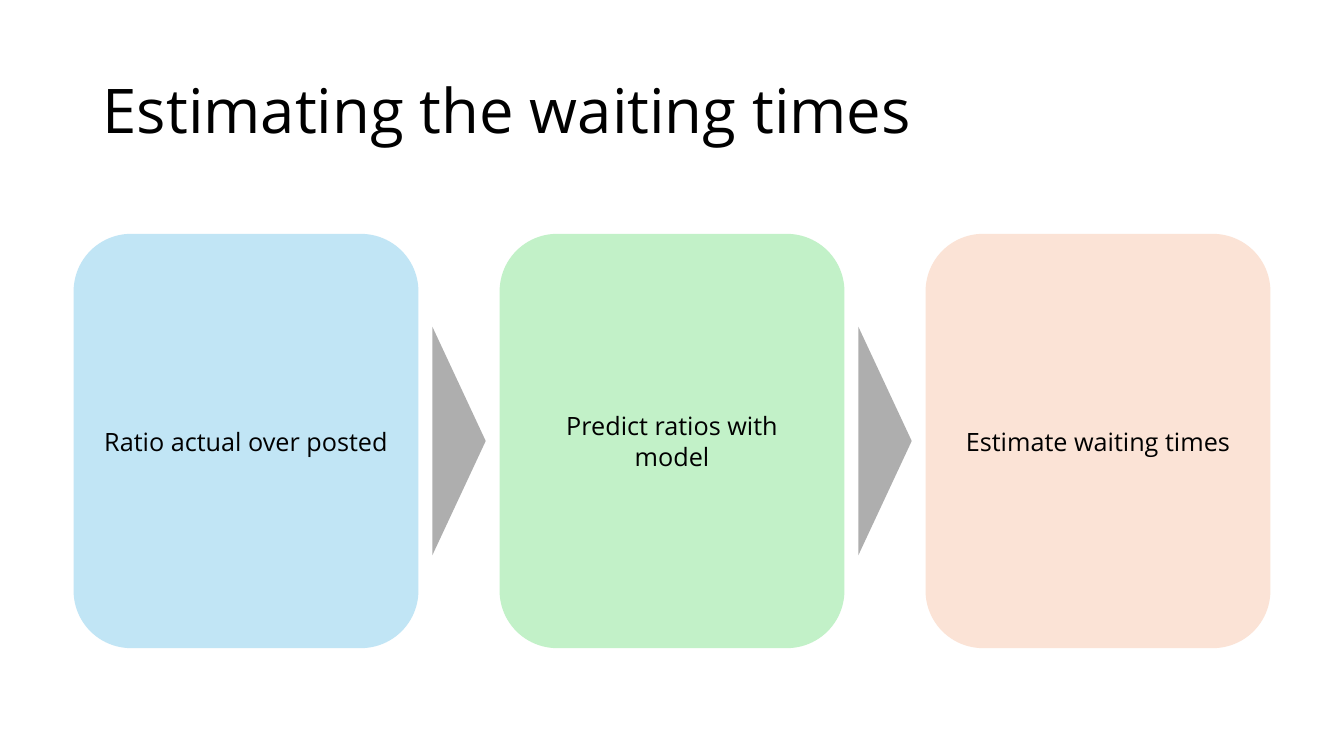
from pptx import Presentation
from pptx.dml.color import RGBColor
from pptx.enum import shapes, text
from pptx.util import Inches, Pt

BLUE = RGBColor(0xC1, 0xE5, 0xF5)
GREEN = RGBColor(0xC2, 0xF1, 0xC8)
PEACH = RGBColor(0xFB, 0xE3, 0xD6)
GREY = RGBColor(0xAE, 0xAE, 0xAE)
BLACK = RGBColor(0, 0, 0)
FONT = "Open Sans"

HEADING = "Estimating the waiting times"
STEPS = [
    ("Ratio actual over posted", BLUE),
    ("Predict ratios with model", GREEN),
    ("Estimate waiting times", PEACH),
]

FIRST_LEFT, LAST_LEFT, STEP_TOP = 0.73, 9.18, 2.32
STEP_W, STEP_H = 3.42, 4.11
ARROW_BASE, ARROW_DEPTH = 2.27, 0.53
PITCH = (LAST_LEFT - FIRST_LEFT) / (len(STEPS) - 1)


def write(frame, wording, size, align):
    frame.text = wording
    frame.word_wrap = True
    frame.vertical_anchor = text.MSO_ANCHOR.MIDDLE
    line = frame.paragraphs[0]
    line.alignment = align
    font = line.runs[0].font
    font.name, font.size, font.color.rgb = FONT, Pt(size), BLACK


def add_block(slide, preset, left, top, width, height, color):
    block = slide.shapes.add_shape(
        preset, Inches(left), Inches(top), Inches(width), Inches(height))
    block.shadow.inherit = False
    block.fill.solid()
    block.fill.fore_color.rgb = color
    block.line.fill.background()
    return block


def main():
    deck = Presentation()
    deck.slide_width, deck.slide_height = Inches(13.33), Inches(7.5)
    slide = deck.slides.add_slide(deck.slide_layouts[6])

    heading = slide.shapes.add_textbox(
        Inches(0.92), Inches(0.4), Inches(11.5), Inches(1.45))
    write(heading.text_frame, HEADING, 44, text.PP_ALIGN.LEFT)
    heading.text_frame.paragraphs[0].line_spacing = 0.9

    for i, (wording, color) in enumerate(STEPS):
        step = add_block(slide, shapes.MSO_SHAPE.ROUNDED_RECTANGLE,
                         FIRST_LEFT + i * PITCH, STEP_TOP, STEP_W, STEP_H, color)
        write(step.text_frame, wording, 18, text.PP_ALIGN.CENTER)

    for i in range(len(STEPS) - 1):
        gap_center = FIRST_LEFT + i * PITCH + (STEP_W + PITCH) / 2
        arrow = add_block(slide, shapes.MSO_SHAPE.ISOSCELES_TRIANGLE,
                          gap_center - ARROW_BASE / 2,
                          STEP_TOP + (STEP_H - ARROW_DEPTH) / 2,
                          ARROW_BASE, ARROW_DEPTH, GREY)
        arrow.rotation = 90

    deck.save("out.pptx")


if __name__ == "__main__":
    main()
